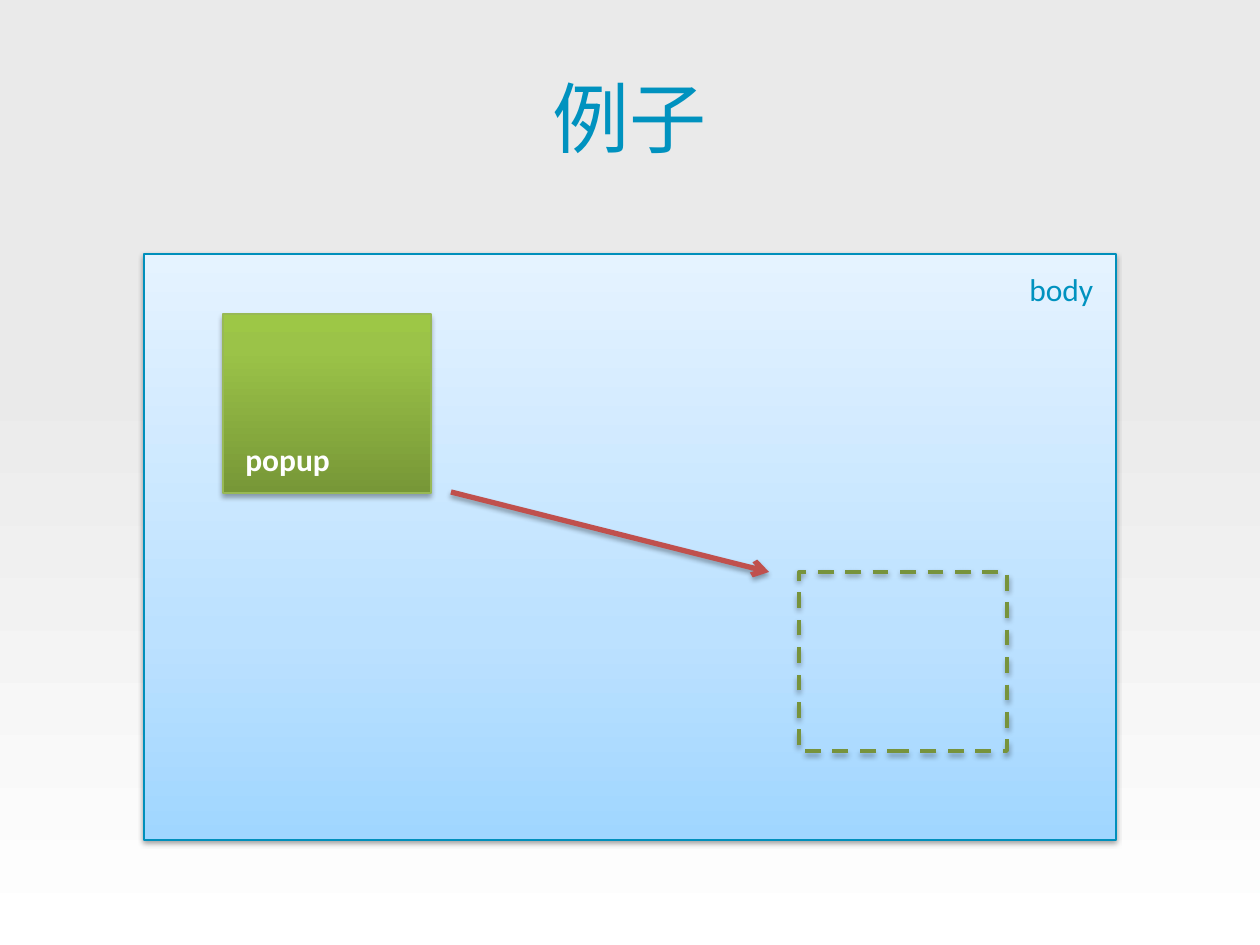
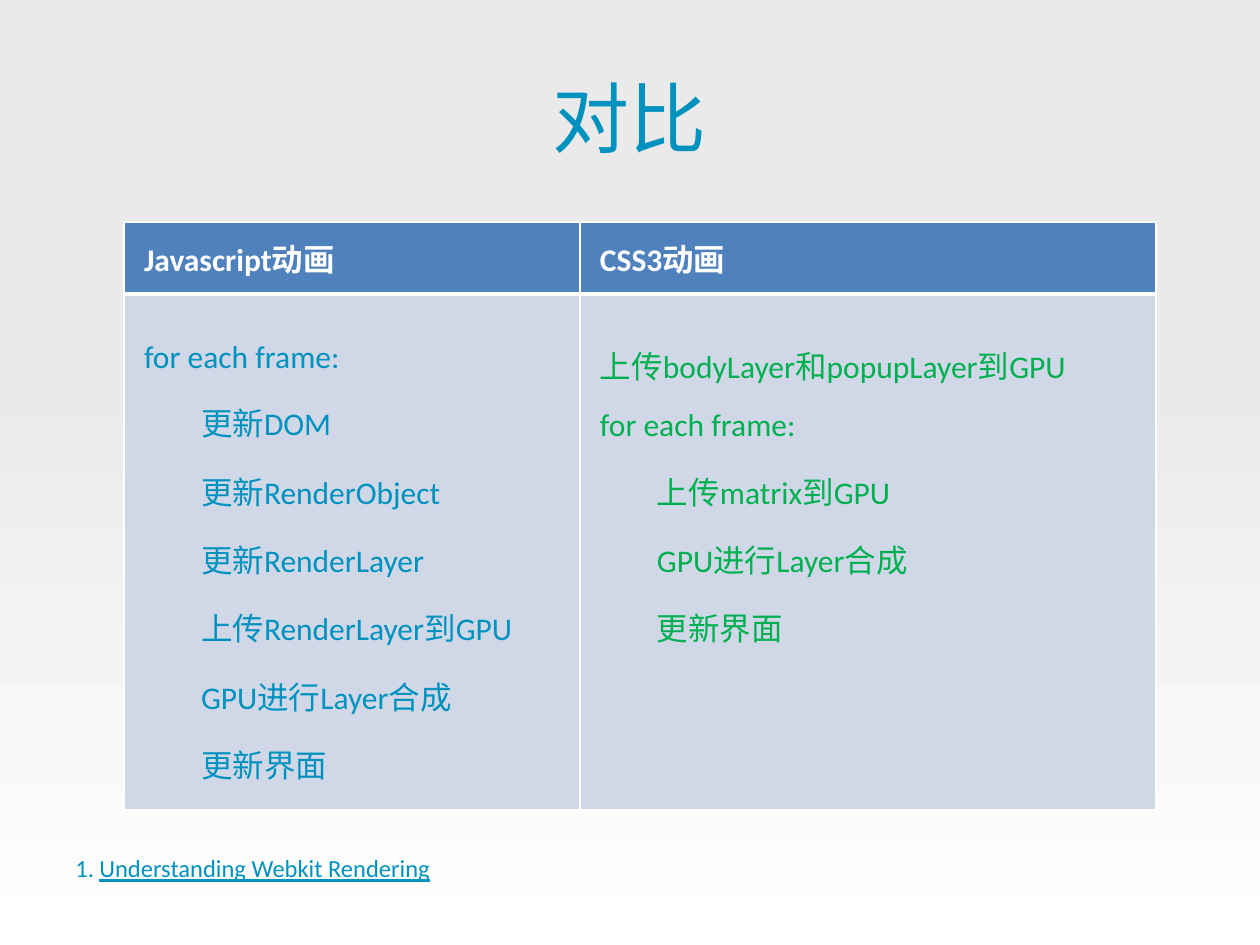
from copy import deepcopy

from lxml.etree import SubElement
from pptx import Presentation
from pptx.dml.color import RGBColor
from pptx.enum.dml import MSO_LINE
from pptx.enum.shapes import MSO_CONNECTOR, MSO_SHAPE
from pptx.enum.text import MSO_ANCHOR, MSO_AUTO_SIZE, PP_ALIGN
from pptx.oxml.ns import qn
from pptx.util import Emu, Pt

BLUE = RGBColor(0x00, 0x92, 0xBF)
PANEL_EDGE = RGBColor(0x00, 0x8F, 0xBB)
LIME_EDGE = RGBColor(0x98, 0xB9, 0x55)
OLIVE = RGBColor(0x77, 0x93, 0x3C)
RED = RGBColor(0xC0, 0x50, 0x4D)
GREEN = RGBColor(0x00, 0xB0, 0x50)
WHITE = RGBColor(0xFF, 0xFF, 0xFF)
HEADER_FILL = RGBColor(0x4F, 0x81, 0xBD)
BODY_FILL = RGBColor(0xD0, 0xD8, 0xE8)

PAGE_STOPS = [(39, RGBColor(0xEA, 0xEA, 0xEA)), (100, WHITE)]
PANEL_STOPS = [(0, RGBColor(0xA0, 0xD6, 0xFF)), (35, RGBColor(0xBC, 0xE1, 0xFF)),
               (100, RGBColor(0xE5, 0xF3, 0xFF))]
POPUP_STOPS = [(0, RGBColor(0x77, 0x97, 0x37)), (80, RGBColor(0x9B, 0xC3, 0x48)),
               (100, RGBColor(0x9D, 0xC7, 0x46))]

TITLE_FONT = "Cambria"
BODY_FONT = "Calibri"
INDENT = 57

JS_STEPS = ["更新DOM", "更新RenderObject", "更新RenderLayer",
            "上传RenderLayer到GPU", "GPU进行Layer合成", "更新界面"]
CSS_STEPS = ["上传matrix到GPU", "GPU进行Layer合成", "更新界面"]


def px(n):
    return Emu(round(n * 914400 / 126))


def set_gradient(fill, element, stops, angle):
    fill.gradient()
    fill.gradient_angle = angle
    gs_list = element.xpath(".//a:gsLst")[0]
    while len(gs_list) < len(stops):
        gs_list.append(deepcopy(gs_list[0]))
    for stop, (percent, color) in zip(fill.gradient_stops, stops):
        stop.color.rgb = color
        stop.position = percent / 100


def add_shadow(sp, alpha=35, distance=1.8):
    effects = SubElement(sp._element.spPr, qn("a:effectLst"))
    shadow = SubElement(effects, qn("a:outerShdw"), blurRad=str(Pt(3.1)),
                        dist=str(Pt(distance)), dir="5400000", rotWithShape="0")
    color = SubElement(shadow, qn("a:srgbClr"), val="000000")
    SubElement(color, qn("a:alpha"), val=str(alpha * 1000))


def set_line(sp, color, width):
    sp.line.color.rgb = color
    sp.line.width = Pt(width)


def format_paragraph(p, size, color, font=BODY_FONT, bold=False):
    for r in p.runs:
        r.font.name = font
        r.font.size = Pt(size)
        r.font.bold = bold
        r.font.color.rgb = color


def add_text(s, box, text, size, color, wrap=True, anchor=MSO_ANCHOR.TOP, **style):
    tf = s.shapes.add_textbox(*map(px, box)).text_frame
    tf.word_wrap = wrap
    tf.auto_size = MSO_AUTO_SIZE.NONE if wrap else MSO_AUTO_SIZE.SHAPE_TO_FIT_TEXT
    tf.vertical_anchor = anchor
    tf.text = text
    p = tf.paragraphs[0]
    format_paragraph(p, size, color, **style)
    return p


def add_slide(prs, title):
    s = prs.slides.add_slide(prs.slide_layouts[6])
    set_gradient(s.background.fill, s._element, PAGE_STOPS, 270)
    p = add_text(s, (63, 38, 1134, 157), title, 44, BLUE,
                 anchor=MSO_ANCHOR.MIDDLE, font=TITLE_FONT)
    p.alignment = PP_ALIGN.CENTER
    return s


def add_box(s, box, edge, width, stops=None):
    sp = s.shapes.add_shape(MSO_SHAPE.RECTANGLE, *map(px, box))
    if stops:
        set_gradient(sp.fill, sp._element, stops, 90)
    else:
        sp.fill.background()
        sp.line.dash_style = MSO_LINE.DASH
    set_line(sp, edge, width)
    return sp


def add_arrow(s, start, end):
    sp = s.shapes.add_connector(MSO_CONNECTOR.STRAIGHT, *map(px, start + end))
    set_line(sp, RED, 3)
    SubElement(sp._element.spPr.find(qn("a:ln")), qn("a:tailEnd"), type="arrow")
    add_shadow(sp)


def set_borders(cell, widths):
    tc_pr = cell._tc.get_or_add_tcPr()
    for i, (side, width) in enumerate(widths.items()):
        ln = tc_pr.makeelement(qn(f"a:ln{side}"), {"w": str(Pt(width))})
        tc_pr.insert(i, ln)
        SubElement(SubElement(ln, qn("a:solidFill")), qn("a:srgbClr"), val=str(WHITE))


def style_cell(cell, fill, top, widths):
    cell.margin_left = cell.margin_right = px(20)
    cell.margin_top, cell.margin_bottom = px(top), px(6)
    cell.fill.solid()
    cell.fill.fore_color.rgb = fill
    set_borders(cell, widths)


def fill_header(cell, text):
    style_cell(cell, HEADER_FILL, 6, {"L": 1, "R": 1, "T": 1, "B": 3})
    cell.vertical_anchor = MSO_ANCHOR.MIDDLE
    cell.text_frame.text = text
    format_paragraph(cell.text_frame.paragraphs[0], 18, WHITE, bold=True)


def fill_steps(cell, lead, steps, color):
    style_cell(cell, BODY_FILL, 25, {"L": 1, "R": 1, "T": 3, "B": 1})
    cell.text_frame.text = "\n".join(lead + steps)
    for i, p in enumerate(cell.text_frame.paragraphs):
        p.line_spacing = 1.5
        format_paragraph(p, 18, color)
        if i >= len(lead):
            p._p.get_or_add_pPr().set("marL", str(px(INDENT)))


def add_comparison(s):
    widths, heights = (456, 576), (72, 516)
    table = s.shapes.add_table(2, 2, px(124), px(222),
                               px(sum(widths)), px(sum(heights))).table
    for column, width in zip(table.columns, widths):
        column.width = px(width)
    for row, height in zip(table.rows, heights):
        row.height = px(height)
    columns = [("Javascript动画", ["for each frame:"], JS_STEPS, BLUE),
               ("CSS3动画", ["上传bodyLayer和popupLayer到GPU", "for each frame:"],
                CSS_STEPS, GREEN)]
    for i, (heading, lead, steps, color) in enumerate(columns):
        fill_header(table.cell(0, i), heading)
        fill_steps(table.cell(1, i), lead, steps, color)


def add_reference(s, text):
    p = add_text(s, (63, 776, 1134, 113), text, 14, BLUE, anchor=MSO_ANCHOR.BOTTOM)
    p.alignment = PP_ALIGN.JUSTIFY
    p.space_before = Pt(2.8)
    p.runs[0].font.underline = True
    p_pr = p._p.get_or_add_pPr()
    p_pr.set("marL", str(px(24)))
    p_pr.set("indent", str(px(-24)))
    SubElement(p_pr, qn("a:buFont"), typeface="+mj-lt")
    SubElement(p_pr, qn("a:buAutoNum"), type="arabicPeriod")


def build_example(prs):
    s = add_slide(prs, "例子")
    popup_size = (208, 179)
    add_shadow(add_box(s, (144, 254, 972, 586), PANEL_EDGE, 0.75, PANEL_STOPS), 38, 1.6)
    add_shadow(add_box(s, (223, 314) + popup_size, LIME_EDGE, 0.75, POPUP_STOPS))
    add_text(s, (1017, 264, 91, 50), "body", 18, BLUE, wrap=False)
    add_shadow(add_box(s, (799, 572) + popup_size, OLIVE, 2.25))
    add_arrow(s, (451, 492), (769, 572))
    add_text(s, (233, 434, 111, 50), "popup", 18, WHITE, wrap=False, bold=True)


def build_comparison(prs):
    s = add_slide(prs, "对比")
    add_comparison(s)
    add_reference(s, "Understanding Webkit Rendering")


def main():
    prs = Presentation()
    prs.slide_width, prs.slide_height = px(1260), px(945)
    build_example(prs)
    build_comparison(prs)
    prs.save("out.pptx")


main()
